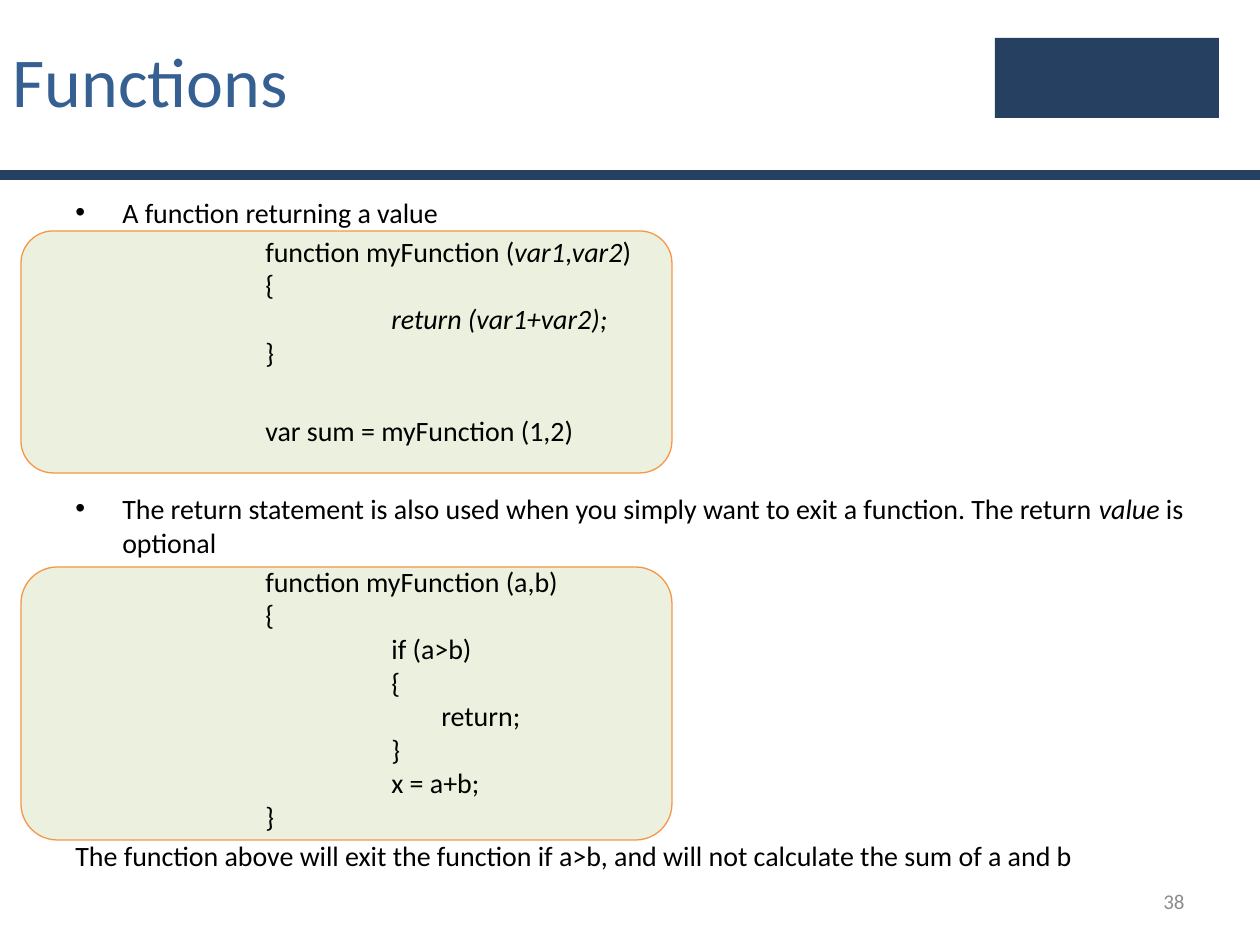
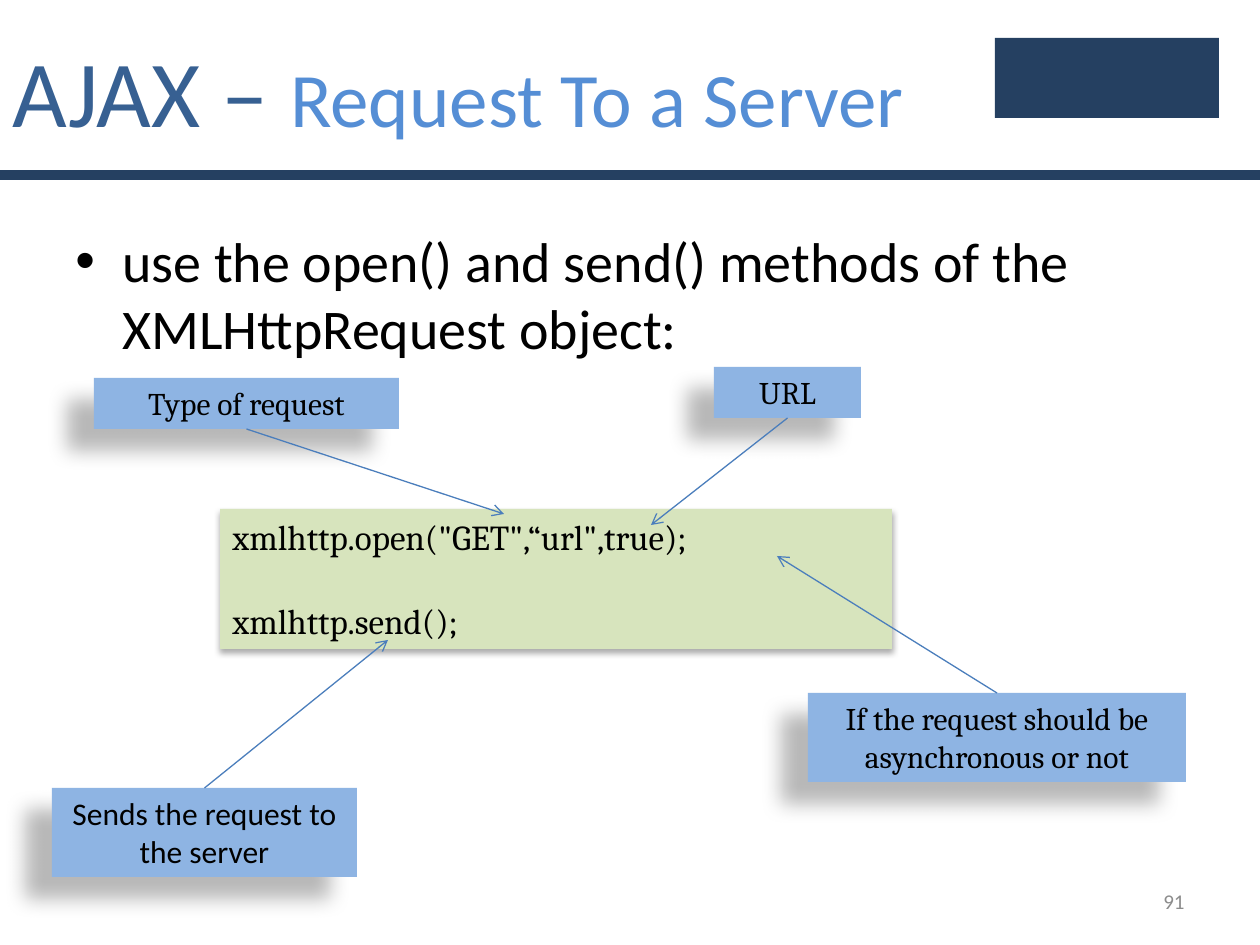
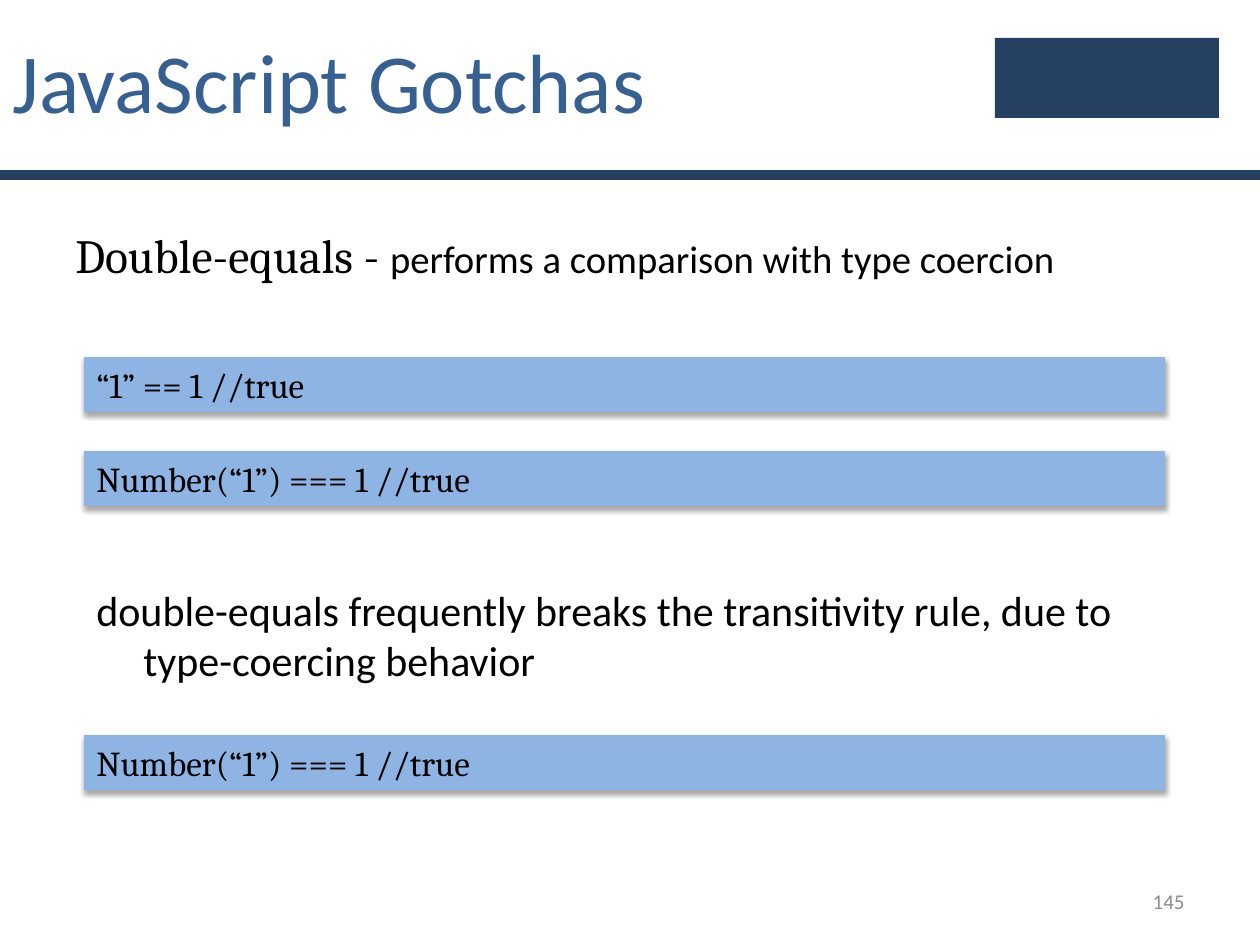
from lxml import etree
from pptx import Presentation
from pptx import util as u
from pptx.dml import color
from pptx.enum import shapes, text
from pptx.oxml import ns

PX = 914400 / 126
COLORS = {
    "navy": "254061",
    "title": "376092",
    "subtitle": "558ED5",
    "black": "000000",
    "grey": "8C8C8C",
    "mint": "EBF1DE",
    "orange": "F79646",
    "green": "D7E4BD",
    "blue": "8EB4E3",
    "arrow": "4B7EBC",
}
SHADOWS = {
    "code": (32, 3.5, 2.2, 90),
    "callout": (28, 11.8, 19.7, 141),
    "bar": (35, 3.1, 1.8, 90),
}
ITALIC = {"italic": True}
CAMBRIA = {"name": "Cambria"}
HANGING = 47
CODE_INDENTS = (190, 316, 366)


def px(length):
    return round(length * PX)


def rgb(name):
    return color.RGBColor.from_string(COLORS[name])


def set_values(target, values):
    for name, value in values.items():
        setattr(target, name, value)


def add_xml(parent, tag, **attributes):
    values = {name: str(value) for name, value in attributes.items()}
    return etree.SubElement(parent, ns.qn(tag), values)


class Deck:
    def __init__(self):
        self.presentation = Presentation()
        set_values(self.presentation, {"slide_width": px(1260), "slide_height": px(945)})
        self.slide = None

    def new_slide(self, number):
        self.slide = self.presentation.slides.add_slide(self.presentation.slide_layouts[6])
        self.shape((0, 172, 1260, 6), "navy", line=("navy", 2))
        self.shape((995, 38, 224, 80), "navy")
        self.textbox((903, 876, 294, 50), str(number), {"size": 12, "color": "grey"},
                     align="RIGHT", anchor="MIDDLE")

    def title(self, box, content, size):
        self.textbox(box, content, {"size": size, "color": "title"}, anchor="MIDDLE")

    def shape(self, box, fill, kind="RECTANGLE", line=None, shadow=None):
        shape = self.slide.shapes.add_shape(getattr(shapes.MSO_SHAPE, kind), *map(px, box))
        shape.shadow.inherit = False
        shape.fill.solid()
        shape.fill.fore_color.rgb = rgb(fill)
        if line:
            self.stroke(shape.line, *line)
        else:
            shape.line.fill.background()
        if shadow:
            self.cast_shadow(shape, *SHADOWS[shadow])
        return shape

    def stroke(self, line, name, width):
        line.color.rgb = rgb(name)
        line.width = u.Pt(width)

    def cast_shadow(self, shape, opacity, blur, distance, angle):
        effects = shape._element.spPr.find(ns.qn("a:effectLst"))
        outer = add_xml(effects, "a:outerShdw", blurRad=u.Pt(blur), dist=u.Pt(distance),
                        dir=angle * 60000, rotWithShape=0)
        black = add_xml(outer, "a:srgbClr", val=COLORS["black"])
        add_xml(black, "a:alpha", val=opacity * 1000)

    def rounded(self, box):
        shape = self.shape(box, "mint", "ROUNDED_RECTANGLE", ("orange", 0.75))
        shape.adjustments[0] = 0.133

    def panel(self, box, content, fill, shadow, font, align="LEFT"):
        shape = self.shape(box, fill, shadow=shadow)
        self.frame(shape, "TOP")
        self.paragraph(shape, content, font, align=align)
        return shape

    def callout(self, box, content, font=CAMBRIA):
        return self.panel(box, content, "blue", "callout", {"size": 18, **font}, "CENTER")

    def bar(self, top, content):
        self.panel((84, top, 1081, 55), content, "blue", "bar", {"size": 20, **CAMBRIA})

    def frame(self, shape, anchor):
        set_values(shape.text_frame, {
            "word_wrap": True,
            "vertical_anchor": getattr(text.MSO_ANCHOR, anchor),
        })

    def textbox(self, box, content=None, font=None, align="LEFT", anchor="TOP", **layout):
        shape = self.slide.shapes.add_textbox(*map(px, box))
        self.frame(shape, anchor)
        if content:
            self.paragraph(shape, content, font, align=align, **layout)
        return shape

    def paragraph(self, shape, content, font, align="LEFT", before=0, margin=0, indent=0,
                  bullet=False):
        frame = shape.text_frame
        paragraph = frame.paragraphs[0] if not frame.text else frame.add_paragraph()
        set_values(paragraph, {
            "alignment": getattr(text.PP_ALIGN, align),
            "space_before": u.Pt(before),
        })
        properties = paragraph._p.get_or_add_pPr()
        properties.set("marL", str(px(margin)))
        properties.set("indent", str(px(indent)))
        if bullet:
            add_xml(properties, "a:buFont", typeface="Arial")
            add_xml(properties, "a:buChar", char="•")
        runs = [(content, {})] if isinstance(content, str) else content
        for words, changes in runs:
            run = paragraph.add_run()
            run.text = words
            self.font(run.font, {**font, **changes})

    def font(self, font, values):
        style = {"name": "Calibri", "color": "black", "bold": False, "italic": False, **values}
        font.color.rgb = rgb(style.pop("color"))
        style["size"] = u.Pt(style["size"])
        set_values(font, style)

    def bullet(self, shape, content, size, before):
        self.paragraph(shape, content, {"size": size}, before=before, margin=HANGING,
                       indent=-HANGING, bullet=True)

    def code(self, shape, lines, size, before):
        for position, (level, content) in enumerate(lines):
            self.paragraph(shape, content, {"size": size}, margin=CODE_INDENTS[level],
                           before=0 if position else before)

    def arrow(self, box, side, end):
        x, y = map(px, end)
        connector = self.slide.shapes.add_connector(shapes.MSO_CONNECTOR.STRAIGHT, x, y, x, y)
        connector.begin_connect(box, side)
        self.stroke(connector.line, "arrow", 0.75)
        add_xml(connector.line._get_or_add_ln(), "a:tailEnd", type="arrow")
        add_xml(connector._element.spPr, "a:effectLst")


def functions_slide(deck):
    deck.new_slide(38)
    for top, height in ((231, 242), (567, 273)):
        deck.rounded((21, top, 651, height))
    deck.title((0, -10, 987, 179), "Functions", 40)
    body = deck.textbox((63, 189, 1134, 725))
    size, gap, wide_gap = 16, 3.2, 25.5
    deck.bullet(body, "A function returning a value", size, gap)
    deck.code(body, [
        (0, [("function myFunction (", {}), ("var1", ITALIC), (",", {}),
             ("var2", ITALIC), (")", {})]),
        (0, "{"),
        (1, [("return (var1+var2);", ITALIC)]),
        (0, "}"),
    ], size, gap)
    deck.code(body, [(0, "var sum = myFunction (1,2)")], size, wide_gap)
    deck.bullet(body, [
        ("The return statement is also used when you simply want to exit a function. "
         "The return ", {}),
        ("value", ITALIC),
        (" is optional", {}),
    ], size, wide_gap)
    deck.code(body, [
        (0, "function myFunction (a,b)"),
        (0, "{"),
        (1, "if (a>b)"),
        (1, "{"),
        (2, "return;"),
        (1, "}"),
        (1, "x = a+b;"),
        (0, "}"),
    ], size, gap)
    deck.paragraph(body, "The function above will exit the function if a>b, and will not "
                   "calculate the sum of a and b", {"size": size}, before=gap)


def request_slide(deck):
    deck.new_slide(91)
    deck.title((0, 0, 924, 179), [
        ("AJAX – ", {}),
        ("Request To a Server", {"size": 44, "color": "subtitle"}),
    ], 54)
    body = deck.textbox((63, 220, 1134, 624))
    deck.bullet(body, "use the open() and send() methods of the XMLHttpRequest object:", 32, 6.4)
    code_font = {"size": 20, **CAMBRIA}
    code = deck.panel((220, 509, 672, 140), 'xmlhttp.open("GET",“url",true);',
                      "green", "code", code_font)
    deck.paragraph(code, "xmlhttp.send();", code_font, before=24)
    request_type = deck.callout((94, 378, 305, 51), "Type of request")
    url = deck.callout((714, 367, 147, 51), "URL")
    asynchronous = deck.callout((808, 693, 378, 89),
                                "If the request should be asynchronous or not")
    send = deck.callout((52, 788, 305, 89), "Sends the request to the server", {})
    for box, side, end in (
        (request_type, 2, (504, 514)),
        (url, 2, (651, 525)),
        (asynchronous, 0, (777, 556)),
        (send, 0, (388, 640)),
    ):
        deck.arrow(box, side, end)


def gotchas_slide(deck):
    deck.new_slide(145)
    deck.title((0, -10, 935, 179), "JavaScript Gotchas", 48)
    deck.textbox((63, 220, 1134, 95), [
        ("Double-equals - ", CAMBRIA),
        ("performs a comparison with type coercion", {"size": 22.1}),
    ], {"size": 27.2}, before=5.4, margin=HANGING, indent=-HANGING)
    for top, content in (
        (357, "“1” == 1 //true"),
        (451, "Number(“1”) === 1 //true"),
        (735, "Number(“1”) === 1 //true"),
    ):
        deck.bar(top, content)
    deck.textbox((84, 578, 1134, 126),
                 "double-equals frequently breaks the transitivity rule, due to "
                 "type-coercing behavior",
                 {"size": 24}, before=4.8, margin=HANGING, indent=-HANGING)


def main():
    deck = Deck()
    functions_slide(deck)
    request_slide(deck)
    gotchas_slide(deck)
    deck.presentation.save("out.pptx")


if __name__ == "__main__":
    main()
